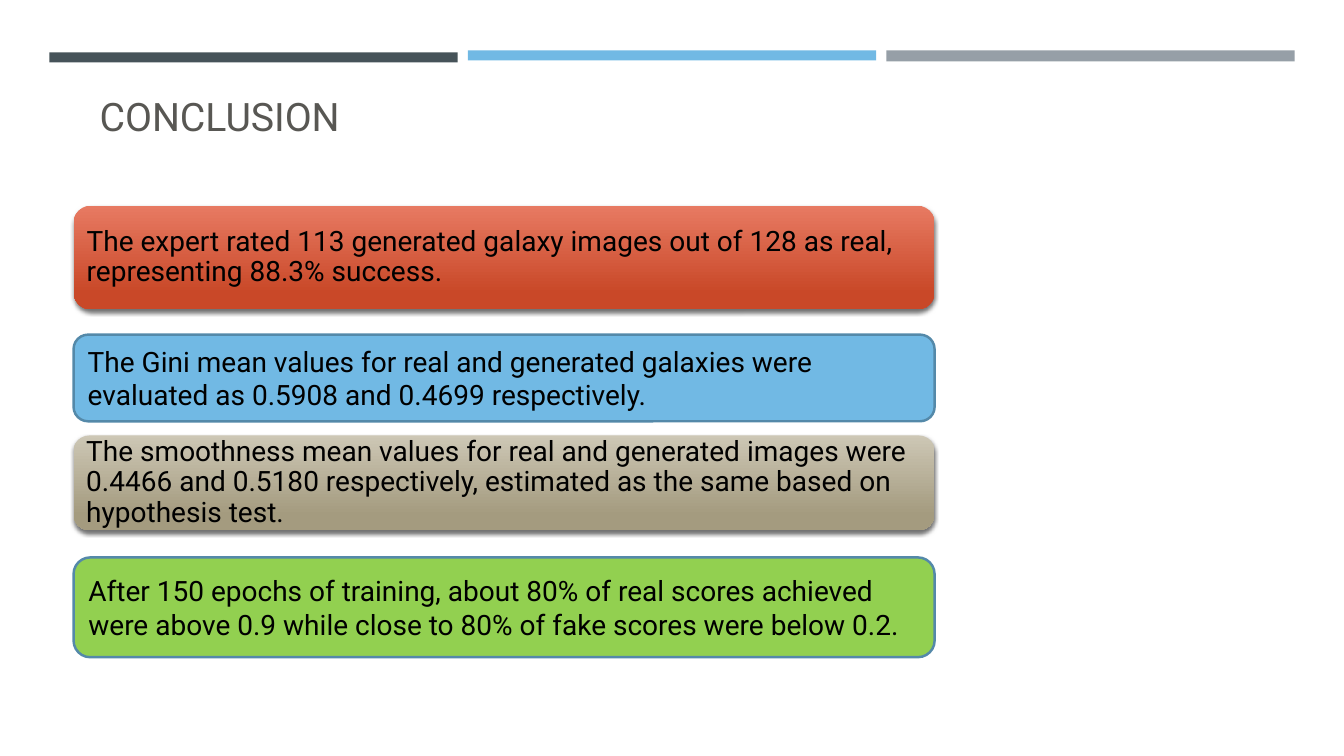
from lxml import etree
from pptx import Presentation
from pptx import util as u
from pptx.dml import color
from pptx.enum import shapes, text
from pptx.oxml import ns

HUES = {
    "title": "585753", "ink": "000000", "slate": "465359", "blue": "71B9E4",
    "grey": "969FA7", "edge": "5489A9", "green": "92D050",
    "coral": "E77A62", "rust": "C94828", "sand": "CDC7B5", "khaki": "A49B7F",
}


class Deck:
    """Hold the style and current slide, and draw each kind of element."""

    def __init__(self):
        self.prs = Presentation()
        self.prs.slide_width = u.Inches(13.33)
        self.prs.slide_height = u.Inches(7.5)
        self.slide = self.prs.slides.add_slide(self.prs.slide_layouts[6])
        self.font = "Roboto"

    def hue(self, name):
        return color.RGBColor.from_string(HUES[name])

    def label(self, frame, words, size, ink, anchor):
        frame.word_wrap = True
        frame.vertical_anchor = anchor
        para = frame.paragraphs[0]
        para.text = words
        para.alignment = text.PP_ALIGN.LEFT
        para.font.name = self.font
        para.font.size = u.Pt(size)
        para.font.color.rgb = self.hue(ink)
        return para

    def title(self, box, words):
        item = self.slide.shapes.add_textbox(*map(u.Inches, box))
        self.label(item.text_frame, words, 28, "title", text.MSO_ANCHOR.BOTTOM)

    def shape(self, kind, box):
        item = self.slide.shapes.add_shape(kind, *map(u.Inches, box))
        item.shadow.inherit = False
        item.line.fill.background()
        return item

    def bar(self, box, fill):
        item = self.shape(shapes.MSO_SHAPE.RECTANGLE, box)
        item.fill.solid()
        item.fill.fore_color.rgb = self.hue(fill)

    def card(self, top, high, words, fills):
        item = self.shape(shapes.MSO_SHAPE.ROUNDED_RECTANGLE, (0.73, top, 8.54, high))
        frame = item.text_frame
        para = self.label(frame, words, 20, "ink", text.MSO_ANCHOR.MIDDLE)
        if len(fills) == 1:
            item.fill.solid()
            item.fill.fore_color.rgb = self.hue(fills[0])
            item.line.color.rgb = self.hue("edge")
            item.line.width = u.Pt(1.75)
            return
        item.fill.gradient()
        item.fill.gradient_angle = 270
        for stop, spot, name in zip(item.fill.gradient_stops, (0, 0.84), fills):
            stop.position = spot
            stop.color.rgb = self.hue(name)
        self.shade(item)
        para.line_spacing = 0.9
        frame.margin_left = frame.margin_right = u.Inches(0.08)
        frame.margin_top = frame.margin_bottom = u.Inches(0.08)

    def shade(self, item):
        group = item.element.spPr.find(ns.qn("a:effectLst"))
        cast = etree.SubElement(
            group, ns.qn("a:outerShdw"), blurRad=str(u.Pt(3)), dist=str(u.Pt(2)),
            dir="5400000", algn="ctr", rotWithShape="0")
        tint = etree.SubElement(cast, ns.qn("a:srgbClr"), val=HUES["ink"])
        etree.SubElement(tint, ns.qn("a:alpha"), val="55000")


def main():
    deck = Deck()
    deck.title((0.89, 0.85, 7.9, 0.58), "CONCLUSION")
    bars = [(0.52, 0.1, "slate"), (0.5, 0.1, "blue"), (0.5, 0.11, "grey")]
    for i, (top, high, fill) in enumerate(bars):
        deck.bar((0.49 + 4.15 * i, top, 4.05, high), fill)
    cards = [
        (2.04, 1.03, "The expert rated 113 generated galaxy images out of 128 as real, "
         "representing 88.3% success.", ("coral", "rust")),
        (3.32, 0.86, "The Gini mean values for real and generated galaxies were "
         "evaluated as 0.5908 and 0.4699 respectively.", ("blue",)),
        (4.32, 0.94, "The smoothness mean values for real and generated images were "
         "0.4466 and 0.5180 respectively, estimated as the same based on "
         "hypothesis test.", ("sand", "khaki")),
        (5.53, 0.99, "After 150 epochs of training, about 80% of real scores achieved "
         "were above 0.9 while close to 80% of fake scores were below 0.2.", ("green",)),
    ]
    for card in cards:
        deck.card(*card)
    deck.prs.save("out.pptx")


if __name__ == "__main__":
    main()
